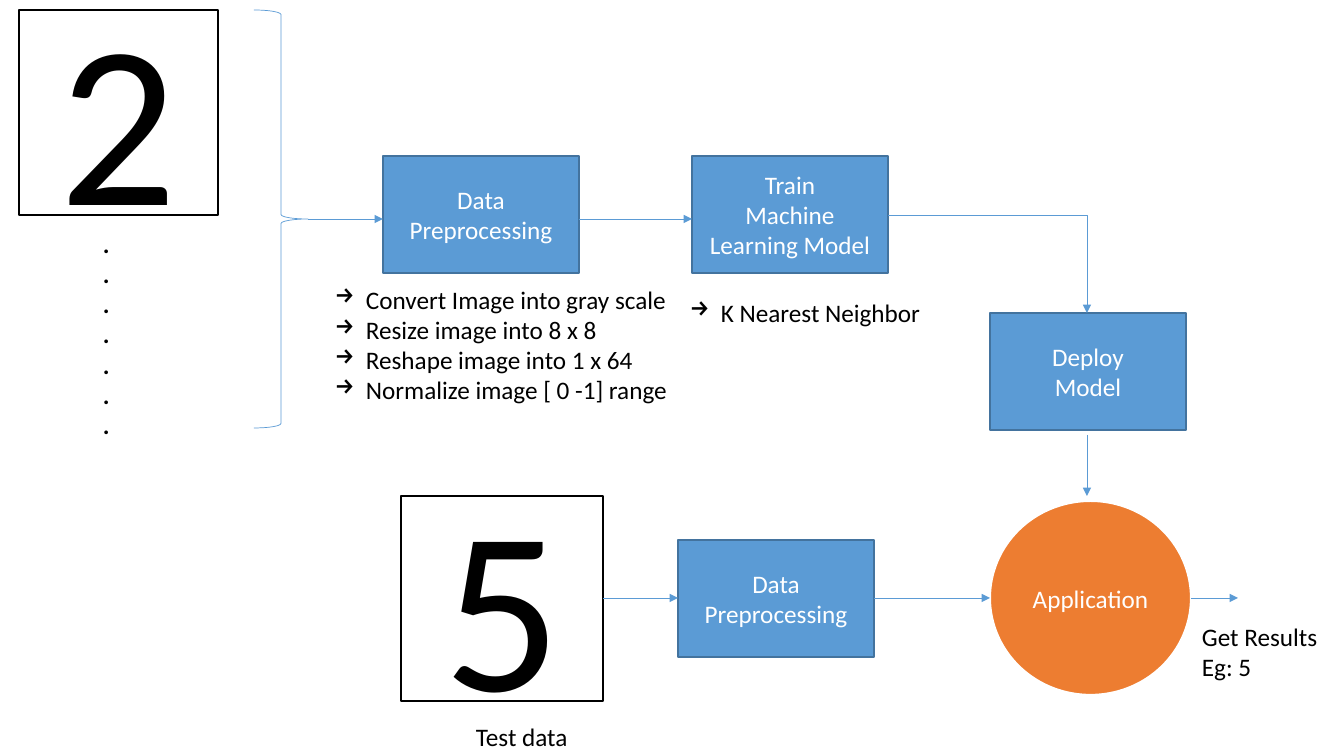
from dataclasses import dataclass

from lxml.etree import SubElement
from pptx import Presentation
from pptx.dml.color import RGBColor as Rgb
from pptx.enum.shapes import MSO_CONNECTOR as Link, MSO_SHAPE as Kind
from pptx.enum.text import MSO_AUTO_SIZE as Fit, MSO_ANCHOR as Anchor, PP_ALIGN as Align
from pptx.oxml.ns import qn
from pptx.util import Emu, Pt

SCALE = 914400 / 100.8


@dataclass(frozen=True)
class Theme:
    font: str = "Calibri"
    body: int = 18
    digit: int = 166
    black: str = "000000"
    white: str = "FFFFFF"
    blue: str = "5B9BD5"
    edge: str = "43739E"
    orange: str = "ED7D31"
    thin: float = 0.5


@dataclass(frozen=True)
class Look:
    kind: Kind
    fill: str
    line: str
    width: float
    ink: str
    size: int


@dataclass(frozen=True)
class Node:
    look: Look
    at: tuple[int, int, int, int]
    text: str


@dataclass(frozen=True)
class Note:
    at: tuple[int, int, int, int]
    text: str
    list: bool = False
    bold: bool = False
    wrap: bool = False


@dataclass(frozen=True)
class Arrow:
    start: tuple[int, int]
    end: tuple[int, int]
    bent: bool = False


T = Theme()
DIGIT = Look(Kind.RECTANGLE, T.white, T.black, 1, T.black, T.digit)
STEP = Look(Kind.RECTANGLE, T.blue, T.edge, 1, T.white, T.body)
APP = Look(Kind.OVAL, T.orange, T.white, 1.5, T.white, T.body)

BOX = (196, 117)
TRAIN_Y, TEST_Y, DOWN_X = 219, 598, 1087

NODES = [
    Node(DIGIT, (19, 10, 199, 205), "2"),
    Node(DIGIT, (401, 496, 202, 205), "5"),
    Node(STEP, (383, 156, *BOX), "Data Preprocessing"),
    Node(STEP, (692, 156, *BOX), "Train\nMachine Learning Model"),
    Node(STEP, (990, 313, *BOX), "Deploy\nModel"),
    Node(STEP, (678, 540, *BOX), "Data Preprocessing"),
    Node(APP, (990, 501, 201, 194), "Application"),
]
NOTES = [
    Note((93, 223, 42, 254), "\n".join("." * 7), bold=True, wrap=True),
    Note((325, 279, 356, 132),
         "Convert Image into gray scale\nResize image into 8 x 8\n"
         "Reshape image into 1 x 64\nNormalize image [ 0 -1] range", list=True),
    Note((680, 292, 254, 40), "K Nearest Neighbor", list=True),
    Note((466, 716, 113, 40), "Test data"),
    Note((1192, 616, 137, 72), "Get Results\nEg: 5"),
]
ARROWS = [
    Arrow((308, TRAIN_Y), (383, TRAIN_Y)),
    Arrow((579, TRAIN_Y), (692, TRAIN_Y)),
    Arrow((888, 215), (DOWN_X, 313), bent=True),
    Arrow((DOWN_X, 435), (DOWN_X, 496)),
    Arrow((603, TEST_Y), (678, TEST_Y)),
    Arrow((874, TEST_Y), (990, TEST_Y)),
    Arrow((1191, TEST_Y), (1238, TEST_Y)),
]


def emu(*marks: int) -> list[Emu]:
    return [Emu(round(mark * SCALE)) for mark in marks]


def tint(code: str) -> Rgb:
    return Rgb.from_string(code)


def stroke(line, code: str, width: float) -> None:
    line.color.rgb = tint(code)
    line.width = Pt(width)


def write(frame, text: str, ink: str, size: int, align: Align, bold: bool = False) -> None:
    frame.text = text
    for para in frame.paragraphs:
        para.alignment = align
        font = para.font
        font.name, font.size, font.bold = T.font, Pt(size), bold
        font.color.rgb = tint(ink)


def bullet(para) -> None:
    props = para._p.get_or_add_pPr()
    dent = emu(31)[0]
    props.set("marL", str(dent))
    props.set("indent", str(-dent))
    mark = props.makeelement(qn("a:buChar"), {"char": "→"})
    props.insert(0, mark)


def draw_node(shapes, node: Node) -> None:
    look = node.look
    shape = shapes.add_shape(look.kind, *emu(*node.at))
    shape.shadow.inherit = False
    shape.fill.solid()
    shape.fill.fore_color.rgb = tint(look.fill)
    stroke(shape.line, look.line, look.width)
    shape.text_frame.vertical_anchor = Anchor.MIDDLE
    write(shape.text_frame, node.text, look.ink, look.size, Align.CENTER)


def draw_note(shapes, note: Note) -> None:
    frame = shapes.add_textbox(*emu(*note.at)).text_frame
    frame.word_wrap = note.wrap
    frame.auto_size = Fit.SHAPE_TO_FIT_TEXT
    write(frame, note.text, T.black, T.body, Align.LEFT, note.bold)
    if note.list:
        for para in frame.paragraphs:
            bullet(para)


def draw_arrow(shapes, arrow: Arrow) -> None:
    kind = Link.ELBOW if arrow.bent else Link.STRAIGHT
    link = shapes.add_connector(kind, *emu(*arrow.start, *arrow.end))
    stroke(link.line, T.blue, T.thin)
    props = link._element.spPr
    if arrow.bent:
        props.find(qn("a:prstGeom")).set("prst", "bentConnector2")
    SubElement(props.find(qn("a:ln")), qn("a:tailEnd"), type="triangle")
    SubElement(props, qn("a:effectLst"))


def draw_brace(shapes) -> None:
    brace = shapes.add_shape(Kind.RIGHT_BRACE, *emu(254, 10, 54, 418))
    brace.shadow.inherit = False
    brace.fill.background()
    stroke(brace.line, T.blue, T.thin)


def main() -> None:
    deck = Presentation()
    deck.slide_width, deck.slide_height = emu(1344, 756)
    shapes = deck.slides.add_slide(deck.slide_layouts[6]).shapes
    draw_brace(shapes)
    for node in NODES:
        draw_node(shapes, node)
    for note in NOTES:
        draw_note(shapes, note)
    for arrow in ARROWS:
        draw_arrow(shapes, arrow)
    deck.save("out.pptx")


main()
